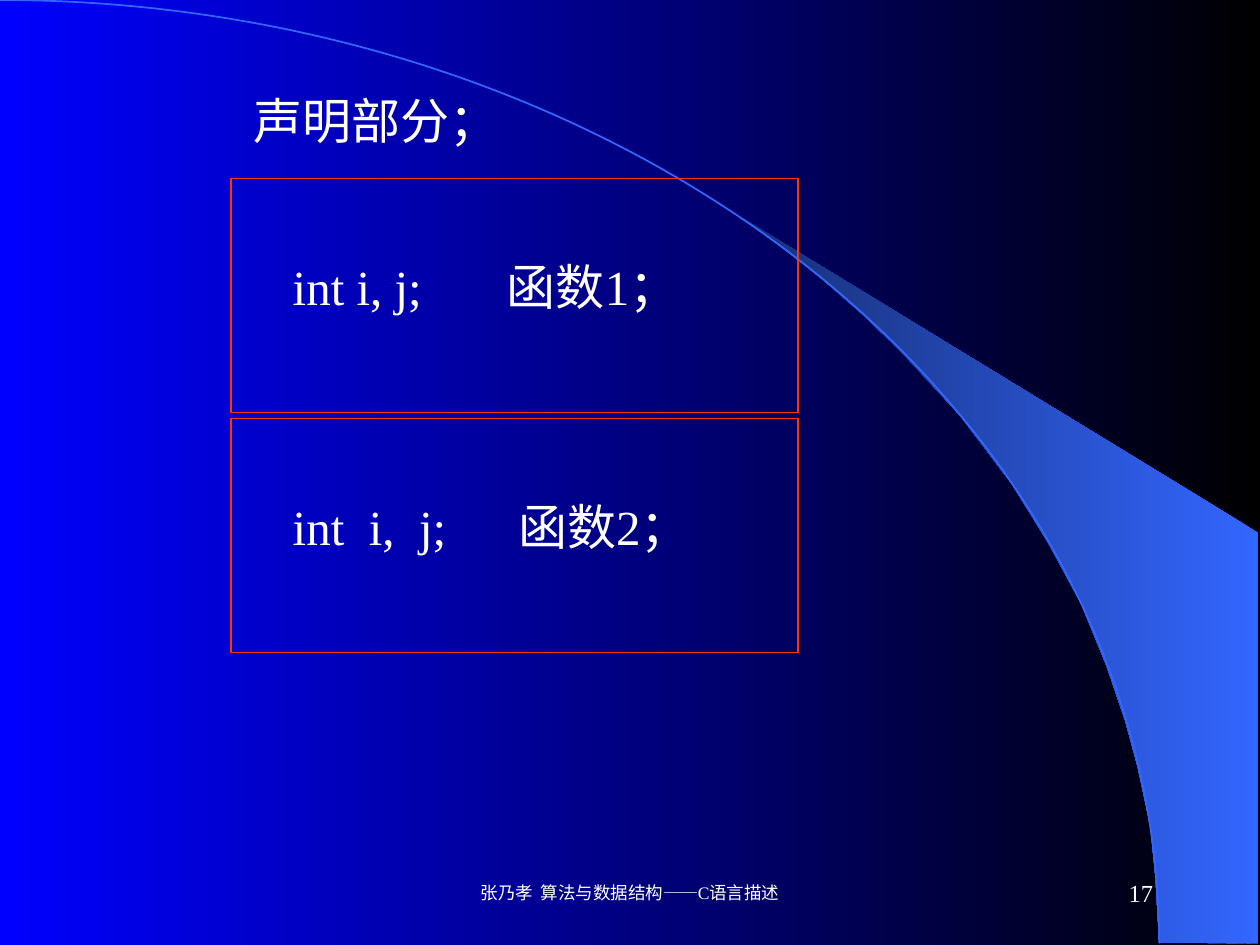
"""Build the slide on variable scope, with two function boxes on a dark gradient."""
from typing import NamedTuple

from lxml.etree import SubElement
from pptx import Presentation
from pptx.dml.color import RGBColor
from pptx.enum.shapes import MSO_SHAPE
from pptx.enum.text import MSO_ANCHOR, PP_ALIGN
from pptx.oxml.ns import qn
from pptx.util import Inches, Pt

COLS, ROWS = 120, 90
WIDE, HIGH = Inches(10), Inches(7.5)
HUES = {"white": "FFFFFF", "red": "FF3300", "blue": "0000FF",
        "black": "000000", "sky": "3366FF", "navy": "172F75"}
WEDGE = [(920, 748), (999, 749), (999, 423), (589, 173), (624, 199),
         (653, 222), (685, 250), (716, 280), (762, 330), (803, 384),
         (832, 431), (858, 479), (878, 528), (893, 572), (903, 609),
         (913, 656), (917, 696)]


class Area(NamedTuple):
    """A place on the grid, in columns and rows."""
    col: float
    row: float
    cols: float
    rows: float


class Label(NamedTuple):
    """A line of text with its place and format."""
    text: str
    area: Area
    size: float
    align: PP_ALIGN = PP_ALIGN.LEFT
    anchor: MSO_ANCHOR = MSO_ANCHOR.TOP


class Scope(NamedTuple):
    """A function box: its text and the tab stop of its name."""
    text: str
    stop: float


LABELS = [
    Label("声明部分；", Area(23, 8, 76, 6.8), 28),
    Label("张乃孝  算法与数据结构——C语言描述", Area(41, 82, 38, 6), 10,
          PP_ALIGN.CENTER, MSO_ANCHOR.MIDDLE),
    Label("17", Area(86, 82, 25, 6), 14, PP_ALIGN.RIGHT, MSO_ANCHOR.MIDDLE),
]
SCOPES = [Scope("int i, j;\t函数1；", 1.7), Scope("int  i,  j;\t函数2；", 1.79)]


def hue(name: str) -> RGBColor:
    """Look up a colour."""
    return RGBColor.from_string(HUES[name])


def place(area: Area) -> tuple[int, int, int, int]:
    """Turn a grid area into slide lengths."""
    return (round(area.col * WIDE / COLS), round(area.row * HIGH / ROWS),
            round(area.cols * WIDE / COLS), round(area.rows * HIGH / ROWS))


def apply(thing, form: dict) -> None:
    """Set each format value on an object."""
    for key, value in form.items():
        setattr(thing, key, value)


def shade(fill, first: str, last: str) -> None:
    """Fill with a gradient that runs from right to left."""
    fill.gradient()
    fill.gradient_angle = 180
    for stop, name, spot in zip(fill.gradient_stops, (first, last), (0, 1)):
        stop.color.rgb = hue(name)
        stop.position = spot


def write(shape, text: str, size: float, align: PP_ALIGN, frame: dict):
    """Write one white line and return its paragraph."""
    apply(shape.text_frame, {"word_wrap": True, **frame})
    para = shape.text_frame.paragraphs[0]
    para.alignment = align
    run = para.add_run()
    run.text = text
    apply(run.font, {"name": "Times New Roman", "size": Pt(size)})
    run.font.color.rgb = hue("white")
    return para


def outline(shapes, kind: MSO_SHAPE, area: Area, name: str, width: float):
    """Add an unfilled shape with a coloured line."""
    shape = shapes.add_shape(kind, *place(area))
    shape.shadow.inherit = False
    shape.fill.background()
    shape.line.color.rgb = hue(name)
    shape.line.width = Pt(width)
    return shape


def draw_wedge(shapes) -> None:
    """Draw the bright wedge beside the arc."""
    build = shapes.build_freeform(*WEDGE[0], scale=Inches(0.01))
    build.add_line_segments(WEDGE[1:])
    wedge = build.convert_to_shape()
    wedge.shadow.inherit = False
    wedge.line.fill.background()
    shade(wedge.fill, "sky", "navy")


def draw_scope(shapes, scope: Scope, area: Area) -> None:
    """Draw a function box with its text split at a tab stop."""
    box = outline(shapes, MSO_SHAPE.RECTANGLE, area, "red", 0.75)
    frame = {"vertical_anchor": MSO_ANCHOR.TOP,
             "margin_left": Inches(0.49), "margin_top": Inches(0.62)}
    para = write(box, scope.text, 28, PP_ALIGN.LEFT, frame)
    tabs = SubElement(para._p.get_or_add_pPr(), qn("a:tabLst"))
    SubElement(tabs, qn("a:tab"), pos=str(Inches(scope.stop)), algn="l")


def main() -> None:
    """Build and save the slide."""
    deck = Presentation()
    apply(deck, {"slide_width": WIDE, "slide_height": HIGH})
    slide = deck.slides.add_slide(deck.slide_layouts[6])
    shapes = slide.shapes
    shade(slide.background.fill, "black", "blue")
    draw_wedge(shapes)
    outline(shapes, MSO_SHAPE.ARC, Area(-110.4, 0, 220.8, 179.7), "sky", 1)
    for rank, scope in enumerate(SCOPES):
        draw_scope(shapes, scope, Area(22, 17 + 22.85 * rank, 54, 22.3))
    for label in LABELS:
        box = shapes.add_textbox(*place(label.area))
        write(box, label.text, label.size, label.align,
              {"vertical_anchor": label.anchor})
    deck.save("out.pptx")


if __name__ == "__main__":
    main()
